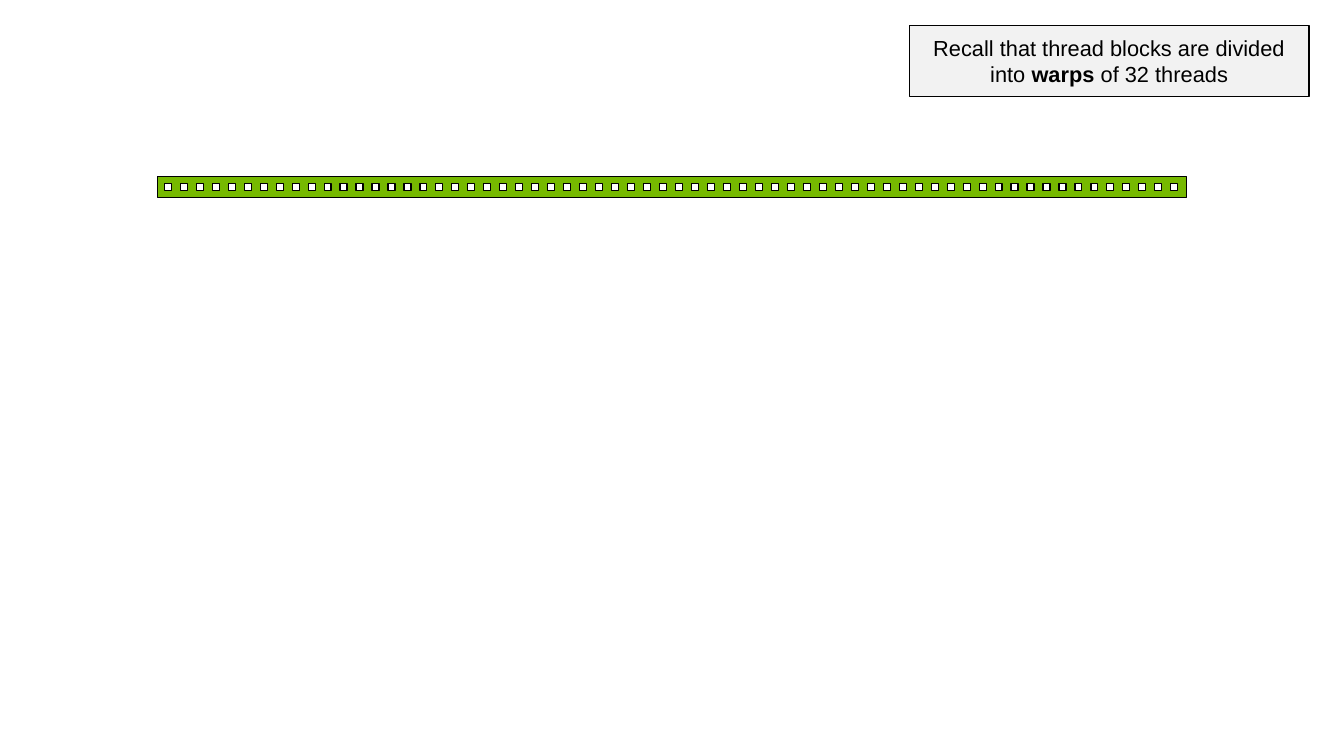
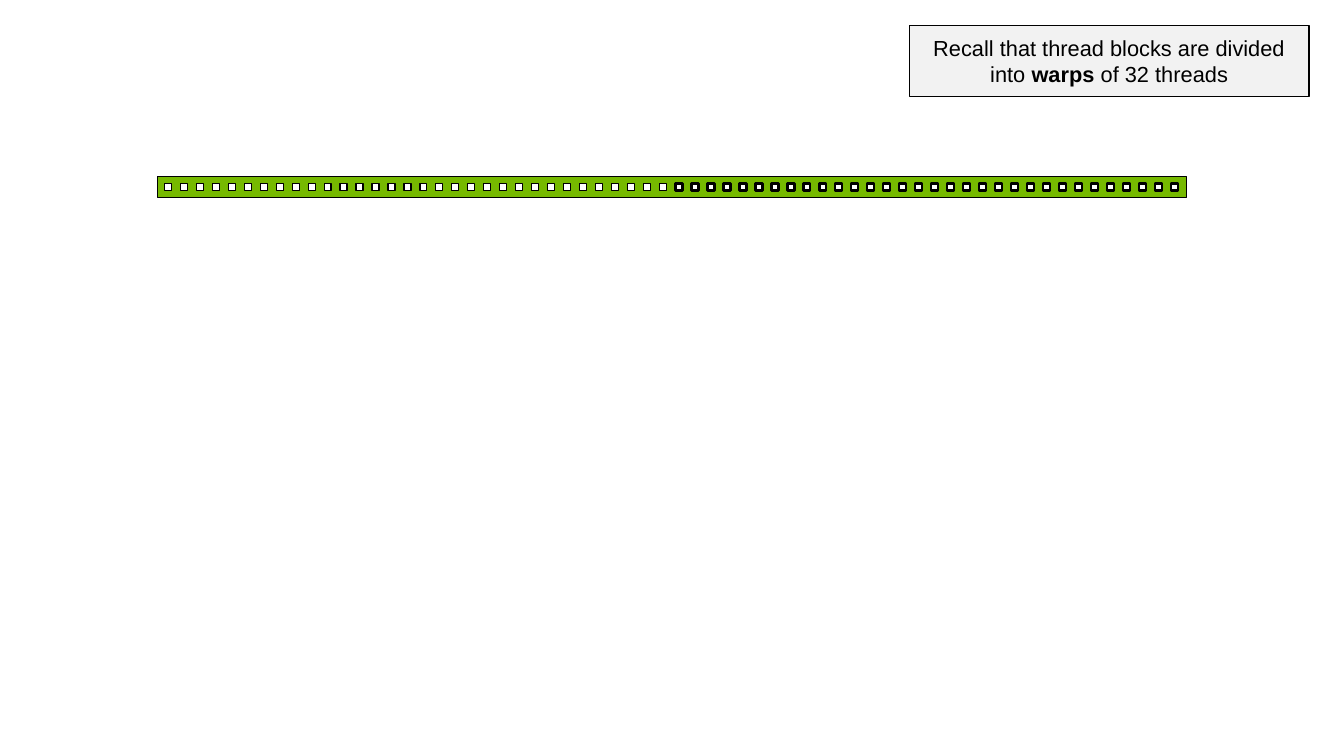
from collections import namedtuple

from pptx import Presentation
from pptx.dml.color import RGBColor
from pptx.enum import shapes, text
from pptx.util import Pt

BLACK = RGBColor(0x00, 0x00, 0x00)
WHITE = RGBColor(0xFF, 0xFF, 0xFF)
NOTE_GREY = RGBColor(0xF2, 0xF2, 0xF2)
BLOCK_GREEN = RGBColor(0x76, 0xB9, 0x00)

FONT = "Arial"
THIN, THICK = 0.75, 1.5

WARP_SIZE = 32
WARPS = 2
THREAD_SIZE = 4.5
THREAD_PITCH = 10.27

Box = namedtuple("Box", "left top width height")
NOTE_BOX = Box(584.6, 16.5, 257, 45.5)
BLOCK_BOX = Box(101.3, 113.6, 661.7, 13.2)

NOTE_RUNS = [
    ("Recall that thread blocks are divided into ", False),
    ("warps", True),
    (" of 32 threads", False),
]


def add_rect(parent, box, fill, line_width=THIN):
    rect = parent.add_shape(shapes.MSO_SHAPE.RECTANGLE, *map(Pt, box))
    rect.shadow.inherit = False
    rect.fill.solid()
    rect.fill.fore_color.rgb = fill
    rect.line.color.rgb = BLACK
    rect.line.width = Pt(line_width)
    return rect


def write_text(shape, runs, size=14, color=BLACK, align=text.PP_ALIGN.CENTER,
               anchor=text.MSO_ANCHOR.MIDDLE):
    """Fill the shape with one paragraph of (words, bold) runs."""
    frame = shape.text_frame
    frame.word_wrap = True
    frame.vertical_anchor = anchor
    paragraph = frame.paragraphs[0]
    paragraph.alignment = align
    for words, bold in runs:
        run = paragraph.add_run()
        run.text = words
        run.font.name = FONT
        run.font.size = Pt(size)
        run.font.bold = bold
        run.font.color.rgb = color


def add_note(parent, box):
    write_text(add_rect(parent, box, NOTE_GREY), NOTE_RUNS)


def add_thread_block(parent, box, warp_lines):
    """Draw a bar of threads; warp_lines gives the outline width of each warp."""
    add_rect(parent, box, BLOCK_GREEN)
    inset = (box.height - THREAD_SIZE) / 2
    for thread in range(WARPS * WARP_SIZE):
        cell = Box(box.left + inset + thread * THREAD_PITCH, box.top + inset,
                   THREAD_SIZE, THREAD_SIZE)
        add_rect(parent, cell, WHITE, warp_lines[thread // WARP_SIZE])


def build_block_slide(slide):
    add_note(slide.shapes, NOTE_BOX)
    block = slide.shapes.add_group_shape()
    add_thread_block(block.shapes, BLOCK_BOX, (THIN, THIN))


def build_warps_slide(slide):
    add_thread_block(slide.shapes, BLOCK_BOX, (THIN, THICK))
    add_note(slide.shapes, NOTE_BOX)


def main():
    deck = Presentation()
    deck.slide_width, deck.slide_height = Pt(864), Pt(486)
    blank = deck.slide_layouts[6]
    for build in (build_block_slide, build_warps_slide):
        build(deck.slides.add_slide(blank))
    deck.save("out.pptx")


if __name__ == "__main__":
    main()
